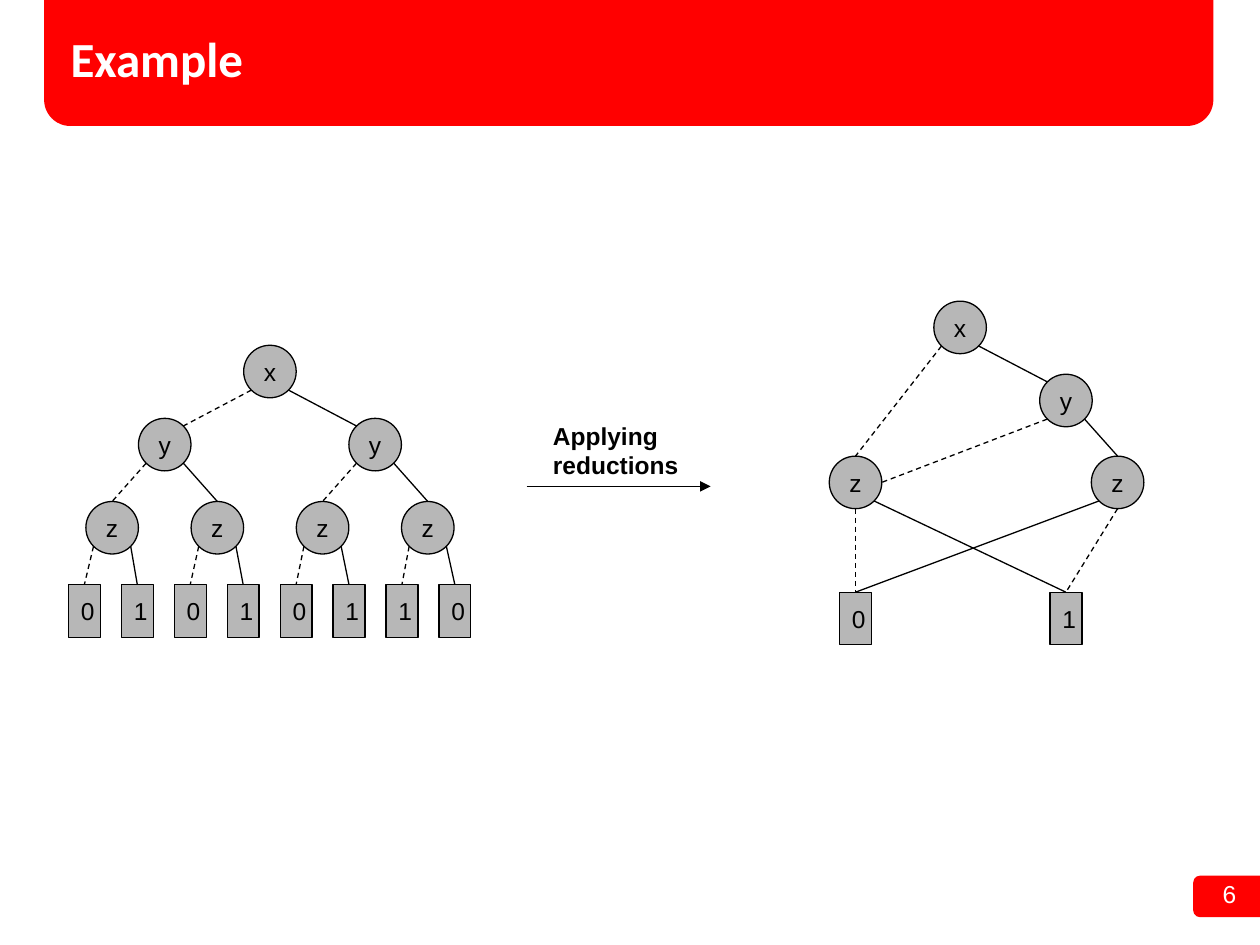
from dataclasses import dataclass

from lxml.etree import SubElement
from pptx import Presentation
from pptx.dml.color import RGBColor
from pptx.enum.dml import MSO_LINE_DASH_STYLE as Dash
from pptx.enum.shapes import MSO_CONNECTOR as Connector, MSO_SHAPE as Preset
from pptx.enum.text import MSO_ANCHOR as Anchor, MSO_AUTO_SIZE as AutoSize, PP_ALIGN as Align
from pptx.oxml.ns import qn
from pptx.util import Inches, Pt


@dataclass(frozen=True)
class Theme:
    """Colours, fonts and sizes of the slide."""
    red: RGBColor = RGBColor(0xFF, 0, 0)
    grey: RGBColor = RGBColor(0xB7, 0xB7, 0xB7)
    black: RGBColor = RGBColor(0, 0, 0)
    white: RGBColor = RGBColor(0xFF, 0xFF, 0xFF)
    heading_font: str = "Calibri"
    body_font: str = "Arial"
    heading_size: Pt = Pt(28)
    body_size: Pt = Pt(14)
    line_width: Pt = Pt(0.75)


THEME = Theme()
CELL = Inches(0.1)  # the slide is a grid of 100 columns by 75 rows
NODE = 4.17  # diameter of a node and height of a leaf, in cells
LEAF = 2.53  # width of a leaf, in cells
SITES = {  # where edges meet a node or leaf, as shares of its size
    "top": (0.5, 0), "left": (0, 0.5), "bottom": (0.5, 1), "right": (1, 0.5),
    "low left": (0.146, 0.854), "low right": (0.854, 0.854),
    "high left": (0.146, 0.146), "high right": (0.854, 0.146),
}


def cells(*counts):
    """Turn counts of grid cells into lengths."""
    return [round(count * CELL) for count in counts]


def write(shape, text, color=THEME.black, size=THEME.body_size,
          font=THEME.body_font, bold=False, align=Align.LEFT, anchor=Anchor.MIDDLE):
    """Put one formatted paragraph into a shape."""
    frame = shape.text_frame
    frame.text = text
    frame.word_wrap = True
    frame.auto_size = AutoSize.NONE
    frame.vertical_anchor = anchor
    frame.margin_left = frame.margin_right = CELL
    frame.margin_top = frame.margin_bottom = CELL
    paragraph = frame.paragraphs[0]
    paragraph.alignment = align
    paragraph.font.name, paragraph.font.size = font, size
    paragraph.font.bold, paragraph.font.color.rgb = bold, color


def add_box(slide, preset, box, fill, outlined=False):
    """Add a filled preset shape, outlined in black on request."""
    shape = slide.shapes.add_shape(preset, *cells(*box))
    shape.shadow.inherit = False
    shape.fill.solid()
    shape.fill.fore_color.rgb = fill
    if outlined:
        shape.line.color.rgb, shape.line.width = THEME.black, THEME.line_width
    else:
        shape.line.fill.background()
    return shape


def add_label(slide, box, text, **style):
    """Add a text box."""
    label = slide.shapes.add_textbox(*cells(*box))
    write(label, text, **style)
    return label


def add_node(slide, center, top, text):
    """Add a round node for a variable."""
    node = add_box(slide, Preset.FLOWCHART_CONNECTOR,
                   (center - NODE / 2, top, NODE, NODE), THEME.grey, outlined=True)
    write(node, text)
    return node


def add_leaf(slide, center, top, text):
    """Add a rectangular leaf for a constant."""
    leaf = add_box(slide, Preset.FLOWCHART_PROCESS,
                   (center - LEAF / 2, top, LEAF, NODE), THEME.grey, outlined=True)
    write(leaf, text)
    return leaf


def add_line(slide, start, end, dashed=False):
    """Add a thin straight black line between two points."""
    line = slide.shapes.add_connector(Connector.STRAIGHT, *start, *end)
    line.line.color.rgb, line.line.width = THEME.black, THEME.line_width
    if dashed:
        line.line.dash_style = Dash.DASH
    SubElement(line.element.spPr, qn("a:effectLst"))
    return line


def site(shape, name):
    """Return the point of a named site on a shape."""
    across, down = SITES[name]
    return (round(shape.left + across * shape.width),
            round(shape.top + down * shape.height))


def add_edge(slide, parent, child, value, leave=None, arrive="top"):
    """Join parent and child: dashed for value 0, solid for value 1."""
    leave = leave or ("low left", "low right")[value]
    add_line(slide, site(parent, leave), site(child, arrive), dashed=value == 0)


def add_frame(slide):
    """Add the heading band with its title, and the page number."""
    title = slide.shapes.title
    band = add_box(slide, Preset.ROUNDED_RECTANGLE, (3.5, -2.5, 92.8, 12.5), THEME.red)
    title.element.addprevious(band.element)
    title.left, title.top, title.width, title.height = cells(4.6, 2.6, 89.5, 4)
    write(title, "Example", color=THEME.white, size=THEME.heading_size,
          font=THEME.heading_font, bold=True)
    add_box(slide, Preset.ROUNDED_RECTANGLE, (94.7, 69.5, 7, 3.3), THEME.red)
    number = add_label(slide, (90.8, 69.3, 8.3, 3.4), "6", color=THEME.white,
                       align=Align.RIGHT, anchor=Anchor.TOP)
    number.text_frame.margin_top = number.text_frame.margin_bottom = CELL // 2


def add_full_tree(slide):
    """Add the complete decision tree, each parent centred over its children."""
    z_centers = [8.9 + 8.35 * index for index in range(4)]
    y_centers = [sum(z_centers[index:index + 2]) / 2 for index in (0, 2)]
    levels = [
        [add_node(slide, sum(y_centers) / 2, 27.4, "x")],
        [add_node(slide, center, 33.2, "y") for center in y_centers],
        [add_node(slide, center, 39.8, "z") for center in z_centers],
        [add_leaf(slide, 6.7 + 4.2 * index, 46.4, digit)
         for index, digit in enumerate("01010110")],
    ]
    for parents, children in zip(levels, levels[1:]):
        for index, child in enumerate(children):
            value = index % 2
            arrive = "top"
            if len(children) == 2:
                arrive = ("high right", "high left")[value]
            add_edge(slide, parents[index // 2], child, value, arrive=arrive)


def add_reduced_diagram(slide):
    """Add the reduced decision diagram."""
    x = add_node(slide, 76.2, 23.9, "x")
    y = add_node(slide, 84.6, 29.7, "y")
    z_left, z_right = [add_node(slide, center, 36.2, "z") for center in (67.9, 88.7)]
    zero = add_leaf(slide, 67.9, 47, "0")
    one = add_leaf(slide, 84.6, 47, "1")
    add_edge(slide, x, z_left, 0)
    add_edge(slide, x, y, 1, arrive="high left")
    add_edge(slide, y, z_left, 0, arrive="right")
    add_edge(slide, y, z_right, 1)
    add_edge(slide, z_left, zero, 0, leave="bottom")
    add_edge(slide, z_left, one, 1)
    add_edge(slide, z_right, one, 0, leave="bottom")
    add_edge(slide, z_right, zero, 1, leave="low left")


def add_reduction_arrow(slide):
    """Add the labelled arrow between the two diagrams."""
    add_label(slide, (42.9, 32.4, 12.4, 5.8), "Applying reductions",
              bold=True, anchor=Anchor.TOP)
    arrow = add_line(slide, cells(41.8, 38.6), cells(56.4, 38.6))
    SubElement(arrow.line._get_or_add_ln(), qn("a:tailEnd"), type="triangle")


def main():
    """Build and save the slide."""
    presentation = Presentation()
    presentation.slide_width, presentation.slide_height = cells(100, 75)
    slide = presentation.slides.add_slide(presentation.slide_layouts[5])
    add_frame(slide)
    add_full_tree(slide)
    add_reduced_diagram(slide)
    add_reduction_arrow(slide)
    presentation.save("out.pptx")


main()
